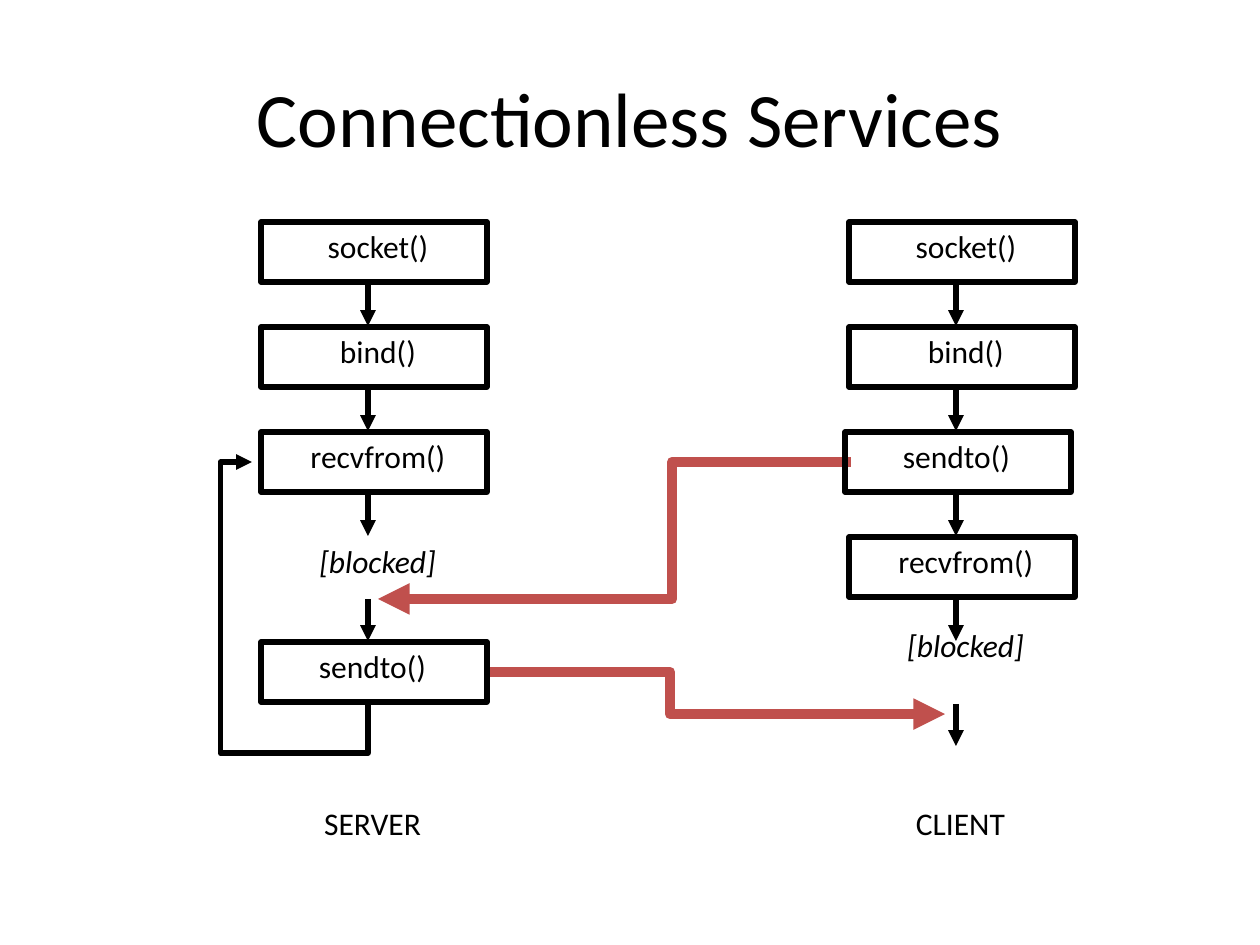
from dataclasses import dataclass

from lxml.etree import SubElement
from pptx import Presentation
from pptx.dml.color import RGBColor
from pptx.enum.shapes import MSO_CONNECTOR, MSO_SHAPE
from pptx.enum.text import MSO_ANCHOR, PP_ALIGN
from pptx.oxml.ns import qn
from pptx.util import Emu, Pt


@dataclass(frozen=True)
class Theme:
    font: str = "Calibri"
    ink: RGBColor = RGBColor(0x00, 0x00, 0x00)
    message: RGBColor = RGBColor(0xC0, 0x50, 0x4D)
    title_size: int = 44
    body_size: int = 18
    flow_width: int = 3
    message_width: int = 6


THEME = Theme()
EMU_PER_PX = 914400 / 126
SLIDE_SIZE = (1260, 945)

TITLE = "Connectionless Services"
TITLE_FRAME = (63, 38, 1134, 158)

ROW_TOP, ROW_PITCH = 222, 105
BOX_WIDTH, BOX_HEIGHT = 226, 60
LABEL_HEIGHT = 63
FLOW_X, FLOW_TOP, FLOW_LENGTH = 368, 284, 42
CAPTION_TOP, CAPTION_WIDTH = 798, 283

COLUMNS = [
    {
        "offset": 0,
        "steps": [
            (0, "socket()", 261, 252, 252),
            (1, "bind()", 261, 252, 252),
            (2, "recvfrom()", 261, 252, 252),
            (4, "sendto()", 261, 273, 199),
        ],
        "flow_rows": [0, 1, 2, 3],
        "blocked": (262, 536),
        "caption": ("SERVER", 231),
    },
    {
        "offset": 588,
        "steps": [
            (0, "socket()", 261, 252, 252),
            (1, "bind()", 261, 252, 252),
            (2, "sendto()", 257, 269, 199),
            (3, "recvfrom()", 261, 252, 252),
        ],
        "flow_rows": [0, 1, 2, 3, 4],
        "blocked": (262, 620),
        "caption": ("CLIENT", 231),
    },
]

MESSAGES = [
    ((851, 462), (378, 599), 0.378),
    ((489, 672), (945, 714), 0.397),
]
LOOP_START, LOOP_END = (431, 525), (189, 641)
LOOP_ADJUSTMENTS = (-0.203, 1.273)


def px(value):
    return Emu(round(value * EMU_PER_PX))


def style_text(frame, text, size, italic=None):
    frame.word_wrap = True
    paragraph = frame.paragraphs[0]
    paragraph.text = text
    paragraph.alignment = PP_ALIGN.CENTER
    paragraph.font.name = THEME.font
    paragraph.font.size = Pt(size)
    paragraph.font.color.rgb = THEME.ink
    paragraph.font.italic = italic


def add_label(slide, text, left, top, width, italic=None):
    label = slide.shapes.add_textbox(px(left), px(top), px(width), px(LABEL_HEIGHT))
    style_text(label.text_frame, text, THEME.body_size, italic)


def add_box(slide, left, top):
    box = slide.shapes.add_shape(
        MSO_SHAPE.RECTANGLE, px(left), px(top), px(BOX_WIDTH), px(BOX_HEIGHT)
    )
    box.shadow.inherit = False
    box.fill.background()
    box.line.color.rgb = THEME.ink
    box.line.width = Pt(THEME.flow_width)


def add_arrow(slide, kind, start, end, color, width):
    points = [px(value) for value in (*start, *end)]
    arrow = slide.shapes.add_connector(kind, *points)
    arrow.line.color.rgb = color
    arrow.line.width = Pt(width)
    SubElement(arrow.line._get_or_add_ln(), qn("a:tailEnd"), type="triangle")
    SubElement(arrow._element.spPr, qn("a:effectLst"))
    return arrow


def bend(arrow, adjustments, preset="bentConnector3", degrees=0):
    properties = arrow._element.spPr
    geometry = properties.find(qn("a:prstGeom"))
    geometry.set("prst", preset)
    guides = geometry.find(qn("a:avLst"))
    if guides is None:
        guides = SubElement(geometry, qn("a:avLst"))
    for number, share in enumerate(adjustments, 1):
        SubElement(
            guides, qn("a:gd"), name=f"adj{number}", fmla=f"val {round(share * 100000)}"
        )
    if degrees:
        properties.find(qn("a:xfrm")).set("rot", str(degrees * 60000))


def add_column(slide, column):
    offset = column["offset"]
    for row in column["flow_rows"]:
        x, y = FLOW_X + offset, FLOW_TOP + row * ROW_PITCH
        add_arrow(slide, MSO_CONNECTOR.STRAIGHT, (x, y), (x, y + FLOW_LENGTH),
                  THEME.ink, THEME.flow_width)
    for row, text, box_left, label_left, label_width in column["steps"]:
        top = ROW_TOP + row * ROW_PITCH
        add_box(slide, box_left + offset, top)
        add_label(slide, text, label_left + offset, top - 1, label_width)
    left, top = column["blocked"]
    add_label(slide, "[blocked]", left + offset, top, 231, italic=True)
    text, left = column["caption"]
    add_label(slide, text, left + offset, CAPTION_TOP, CAPTION_WIDTH)


def main():
    presentation = Presentation()
    presentation.slide_width, presentation.slide_height = map(px, SLIDE_SIZE)
    slide = presentation.slides.add_slide(presentation.slide_layouts[5])

    title = slide.shapes.title
    title.left, title.top, title.width, title.height = map(px, TITLE_FRAME)
    style_text(title.text_frame, TITLE, THEME.title_size)
    title.text_frame.vertical_anchor = MSO_ANCHOR.MIDDLE

    for start, end, share in MESSAGES:
        message = add_arrow(slide, MSO_CONNECTOR.ELBOW, start, end,
                            THEME.message, THEME.message_width)
        bend(message, [share])

    loop = add_arrow(slide, MSO_CONNECTOR.ELBOW, LOOP_START, LOOP_END,
                     THEME.ink, THEME.flow_width)
    bend(loop, LOOP_ADJUSTMENTS, "bentConnector4", 90)

    for column in COLUMNS:
        add_column(slide, column)

    presentation.save("out.pptx")


if __name__ == "__main__":
    main()
